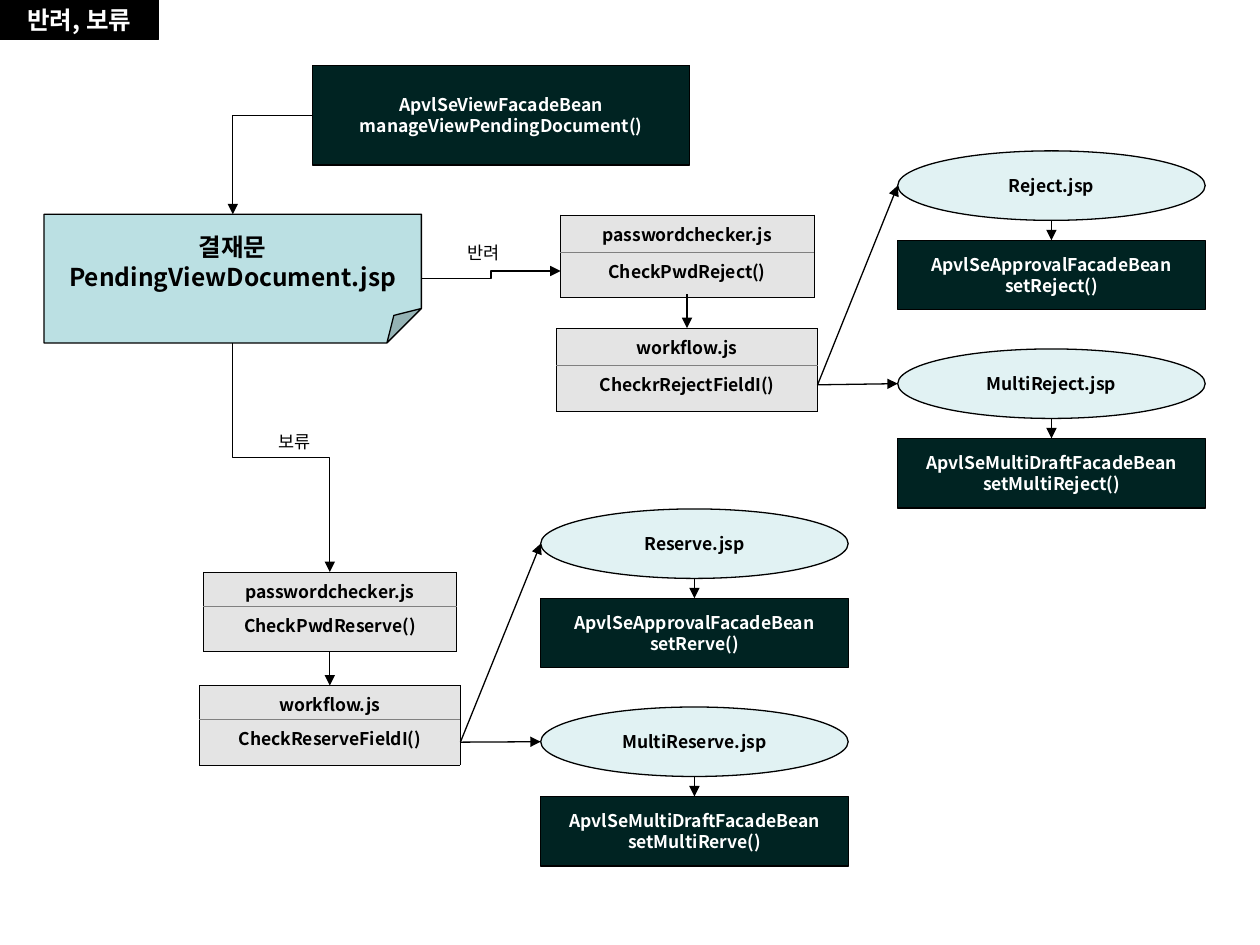
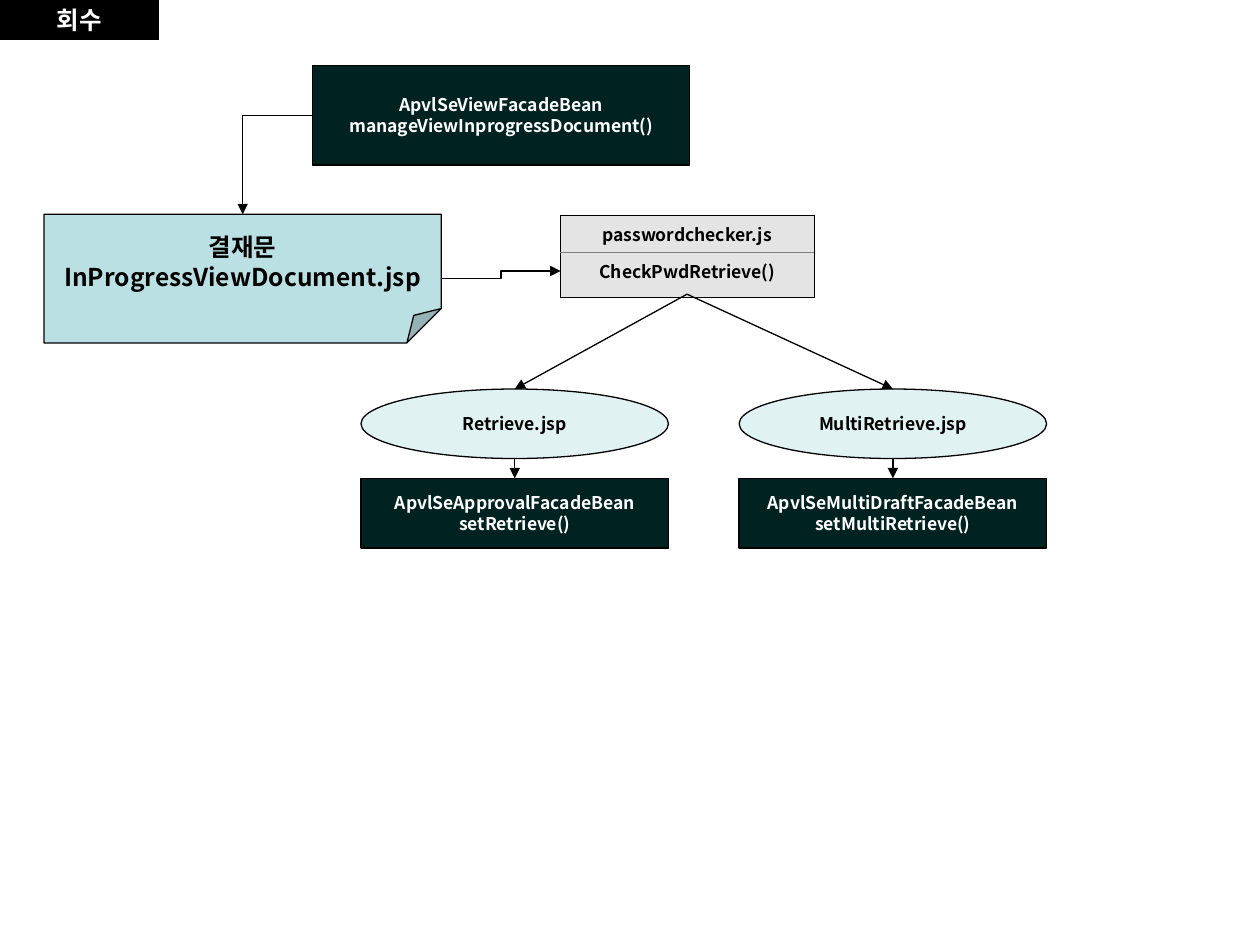
from dataclasses import dataclass

from lxml.etree import SubElement
from pptx import Presentation
from pptx.dml.color import RGBColor
from pptx.enum.shapes import MSO_CONNECTOR, MSO_SHAPE
from pptx.enum.text import MSO_ANCHOR, MSO_AUTO_SIZE, PP_ALIGN
from pptx.oxml.ns import qn
from pptx.util import Pt

FONT = "Noto Sans CJK KR"
COLORS = {
    "ink": "000000",
    "paper": "FFFFFF",
    "document": "BBE0E3",
    "page": "E1F2F3",
    "bean": "002322",
    "script": "E4E4E4",
    "divider": "808080",
}
NODE_WIDTH, NODE_HEIGHT, NODE_STEP = 175.7, 39.7, 51.1
SCRIPT_STEP, SCRIPT_EXIT = 64.8, 45.4
PASSWORD_WIDTH, WORKFLOW_WIDTH = 144.8, 149.2
DOCUMENT_LEFT, DOCUMENT_TOP, DOCUMENT_HEIGHT = 25.2, 122.4, 73.6
ELBOWS = {
    "corner": ("bentConnector2", 180, "flipV"),
    "across": ("bentConnector3", 0, "flipV"),
    "down": ("bentConnector3", 270, "flipH"),
}
Point = tuple[float, float]


@dataclass
class Node:
    """A filled shape with centred bold lines of text."""
    kind: MSO_SHAPE
    fill: str
    left: float
    top: float
    lines: tuple[str, ...]
    width: float = NODE_WIDTH
    height: float = NODE_HEIGHT
    ink: str = "ink"
    size: float = 10


@dataclass
class Script:
    """A two-row table naming a script file and its function."""
    left: float
    top: float
    width: float
    file: str
    function: str
    header: float


@dataclass
class Outcome:
    """A result page with the facade bean below it."""
    left: float
    top: float
    file: str
    bean: str
    method: str


@dataclass
class Branch:
    """A password check, a workflow check and their two outcomes."""
    left: float
    top: float
    header: float
    password: str
    workflow: str
    outcomes: tuple[Outcome, ...]


def color(name: str) -> RGBColor:
    """Return a palette colour."""
    return RGBColor.from_string(COLORS[name])


def add_text(para, text: str, size: float, ink: str, bold: bool = True,
             align=PP_ALIGN.CENTER) -> None:
    """Add one formatted run to a paragraph."""
    para.alignment = align
    span = para.add_run()
    span.text = text
    span.font.name, span.font.size, span.font.bold = FONT, Pt(size), bold
    span.font.color.rgb = color(ink)
    SubElement(span.font._element, qn("a:ea"), typeface=FONT)


def paint(box, fill: str) -> None:
    """Give a shape its fill and thin outline."""
    box.fill.solid()
    box.fill.fore_color.rgb = color(fill)
    box.line.color.rgb = color("ink")
    box.line.width = Pt(0.75)


def draw_node(page, node: Node):
    """Draw a labelled shape."""
    box = page.shapes.add_shape(node.kind, Pt(node.left), Pt(node.top),
                                Pt(node.width), Pt(node.height))
    box.shadow.inherit = False
    paint(box, node.fill)
    frame = box.text_frame
    frame.word_wrap = False
    frame.vertical_anchor = MSO_ANCHOR.MIDDLE
    for index, line in enumerate(node.lines):
        para = frame.add_paragraph() if index else frame.paragraphs[0]
        if len(node.lines) > 1:
            para.line_spacing = Pt(round(node.size * 1.2))
        add_text(para, line, node.size, node.ink)
    return box


def style_arrow(link) -> None:
    """Give a connector its line, arrowhead and no shadow."""
    link.line.color.rgb = color("ink")
    link.line.width = Pt(0.75)
    properties = link._element.spPr
    SubElement(properties.find(qn("a:ln")), qn("a:tailEnd"), type="triangle")
    SubElement(properties, qn("a:effectLst"))


def draw_arrow(page, start: Point, end: Point, target=None) -> None:
    """Draw a straight arrow, joined to the top of a target if given."""
    link = page.shapes.add_connector(MSO_CONNECTOR.STRAIGHT,
                                     *(Pt(value) for value in start + end))
    if target is not None:
        link.end_connect(target, 0)
    style_arrow(link)


def draw_elbow(page, route: str, start: Point, end: Point) -> None:
    """Draw a bent arrow along a named route."""
    preset, angle, flip = ELBOWS[route]
    width, height = abs(end[0] - start[0]), abs(end[1] - start[1])
    if angle == 270:
        width, height = height, width
    left = (start[0] + end[0] - width) / 2
    top = (start[1] + end[1] - height) / 2
    link = page.shapes.add_connector(MSO_CONNECTOR.ELBOW, Pt(left), Pt(top),
                                     Pt(left + width), Pt(top + height))
    properties = link._element.spPr
    properties.find(qn("a:prstGeom")).set("prst", preset)
    transform = properties.find(qn("a:xfrm"))
    transform.set("rot", str(angle * 60000))
    transform.set(flip, "1")
    style_arrow(link)


def set_borders(cell, top: str, bottom: str) -> None:
    """Draw hairlines around a table cell."""
    properties = cell._tc.get_or_add_tcPr()
    sides = {"a:lnL": "ink", "a:lnR": "ink", "a:lnT": top, "a:lnB": bottom}
    for index, (side, ink) in enumerate(sides.items()):
        line = SubElement(properties, qn(side), w=str(Pt(0.11)))
        SubElement(SubElement(line, qn("a:solidFill")), qn("a:srgbClr"), val=COLORS[ink])
        properties.insert(index, line)


def draw_script(page, script: Script) -> None:
    """Draw a script table."""
    heights = (script.header, 26)
    table = page.shapes.add_table(2, 1, Pt(script.left), Pt(script.top),
                                  Pt(script.width), Pt(sum(heights))).table
    table.first_row = table.horz_banding = False
    for index, text in enumerate((script.file, script.function)):
        table.rows[index].height = Pt(heights[index])
        cell = table.cell(index, 0)
        cell.margin_top, cell.margin_bottom = Pt(3.6), Pt(1.2)
        cell.fill.solid()
        cell.fill.fore_color.rgb = color("script")
        set_borders(cell, *(("divider", "ink") if index else ("ink", "divider")))
        para = cell.text_frame.paragraphs[0]
        para.space_before = Pt(2.5 * index)
        add_text(para, text, 10, "ink")


def draw_outcome(page, outcome: Outcome) -> None:
    """Draw a result page, its bean and the arrow between them."""
    draw_node(page, Node(MSO_SHAPE.OVAL, "page", outcome.left, outcome.top, (outcome.file,)))
    bean = draw_node(page, Node(MSO_SHAPE.FLOWCHART_PROCESS, "bean", outcome.left,
                                outcome.top + NODE_STEP, (outcome.bean, outcome.method),
                                ink="paper"))
    middle = outcome.left + NODE_WIDTH / 2
    draw_arrow(page, (middle, outcome.top + NODE_HEIGHT),
               (middle, outcome.top + NODE_STEP), bean)


def draw_branch(page, branch: Branch) -> None:
    """Draw both checks of a branch and fork to its outcomes."""
    middle = branch.left + WORKFLOW_WIDTH / 2
    second = branch.top + SCRIPT_STEP
    draw_script(page, Script(middle - PASSWORD_WIDTH / 2, branch.top, PASSWORD_WIDTH,
                             "passwordchecker.js", branch.password, branch.header))
    draw_script(page, Script(branch.left, second, WORKFLOW_WIDTH,
                             "workflow.js", branch.workflow, branch.header))
    draw_arrow(page, (middle, branch.top + SCRIPT_EXIT), (middle, second))
    for outcome in branch.outcomes:
        draw_outcome(page, outcome)
        draw_arrow(page, (branch.left + WORKFLOW_WIDTH, second + 32.4),
                   (outcome.left, outcome.top + NODE_HEIGHT / 2))


def draw_label(page, left: float, top: float, text: str) -> None:
    """Write a small label beside an arrow."""
    box = page.shapes.add_textbox(Pt(left), Pt(top), Pt(45.4), Pt(13.7))
    frame = box.text_frame
    frame.word_wrap = True
    frame.auto_size = MSO_AUTO_SIZE.SHAPE_TO_FIT_TEXT
    para = frame.paragraphs[0]
    para.line_spacing, para.space_before = 0.5, Pt(6.2)
    add_text(para, text, 10, "ink", bold=False, align=PP_ALIGN.RIGHT)


def start_page(deck, title: str, method: str, document: str, width: float):
    """Add a page with its title, view bean and document."""
    page = deck.slides.add_slide(deck.slide_layouts[5])
    box = page.shapes.title
    box.left, box.top, box.width, box.height = Pt(0), Pt(0), Pt(90.7), Pt(22.6)
    paint(box, "ink")
    box.text_frame.vertical_anchor = MSO_ANCHOR.MIDDLE
    box.text_frame.auto_size = MSO_AUTO_SIZE.NONE
    add_text(box.text_frame.paragraphs[0], title, 14, "paper")
    bean = Node(MSO_SHAPE.FLOWCHART_PROCESS, "bean", 178.6, 37.4,
                ("ApvlSeViewFacadeBean", method), 215.4, 56.9, "paper")
    draw_node(page, bean)
    note = draw_node(page, Node(MSO_SHAPE.FOLDED_CORNER, "document", DOCUMENT_LEFT,
                                DOCUMENT_TOP, ("결재문", document), width,
                                DOCUMENT_HEIGHT, size=14))
    geometry = note._element.spPr.find(qn("a:prstGeom"))
    SubElement(geometry.find(qn("a:avLst")), qn("a:gd"), name="adj", fmla="val 26700")
    draw_elbow(page, "corner", (bean.left, bean.top + bean.height / 2),
               (DOCUMENT_LEFT + width / 2, DOCUMENT_TOP))
    draw_elbow(page, "across", (DOCUMENT_LEFT + width, DOCUMENT_TOP + DOCUMENT_HEIGHT / 2),
               (320.4, 154.9))
    return page


def build_reject_page(deck) -> None:
    """Build the reject and reserve flow."""
    width = 215.6
    page = start_page(deck, "반려, 보류", "manageViewPendingDocument()",
                      "PendingViewDocument.jsp", width)
    reject = Branch(318, 122.7, 21.3, "CheckPwdReject()", "CheckrRejectFieldI()", (
        Outcome(513, 86.2, "Reject.jsp", "ApvlSeApprovalFacadeBean", "setReject()"),
        Outcome(513, 199.4, "MultiReject.jsp", "ApvlSeMultiDraftFacadeBean",
                "setMultiReject()")))
    reserve = Branch(113.9, 326.9, 19.4, "CheckPwdReserve()", "CheckReserveFieldI()", (
        Outcome(309, 290.8, "Reserve.jsp", "ApvlSeApprovalFacadeBean", "setRerve()"),
        Outcome(309, 404, "MultiReserve.jsp", "ApvlSeMultiDraftFacadeBean",
                "setMultiRerve()")))
    for branch in (reject, reserve):
        draw_branch(page, branch)
    draw_elbow(page, "down", (DOCUMENT_LEFT + width / 2, DOCUMENT_TOP + DOCUMENT_HEIGHT),
               (reserve.left + WORKFLOW_WIDTH / 2, reserve.top))
    draw_label(page, 247, 139.7, "반려")
    draw_label(page, 139, 247.7, "보류")


def build_retrieve_page(deck) -> None:
    """Build the retrieve flow."""
    page = start_page(deck, "회수", "manageViewInprogressDocument()",
                      "InProgressViewDocument.jsp", 227)
    check = Script(320.2, 122.7, PASSWORD_WIDTH, "passwordchecker.js",
                   "CheckPwdRetrieve()", 21.3)
    draw_script(page, check)
    for outcome in (
        Outcome(206.3, 222.3, "Retrieve.jsp", "ApvlSeApprovalFacadeBean", "setRetrieve()"),
        Outcome(422.4, 222.3, "MultiRetrieve.jsp", "ApvlSeMultiDraftFacadeBean",
                "setMultiRetrieve()"),
    ):
        draw_outcome(page, outcome)
        draw_arrow(page, (check.left + check.width / 2, check.top + SCRIPT_EXIT),
                   (outcome.left + NODE_WIDTH / 2, outcome.top))


def main() -> None:
    """Build and save the deck."""
    deck = Presentation()
    deck.slide_width, deck.slide_height = Pt(720), Pt(540)
    build_reject_page(deck)
    build_retrieve_page(deck)
    deck.save("out.pptx")


if __name__ == "__main__":
    main()
